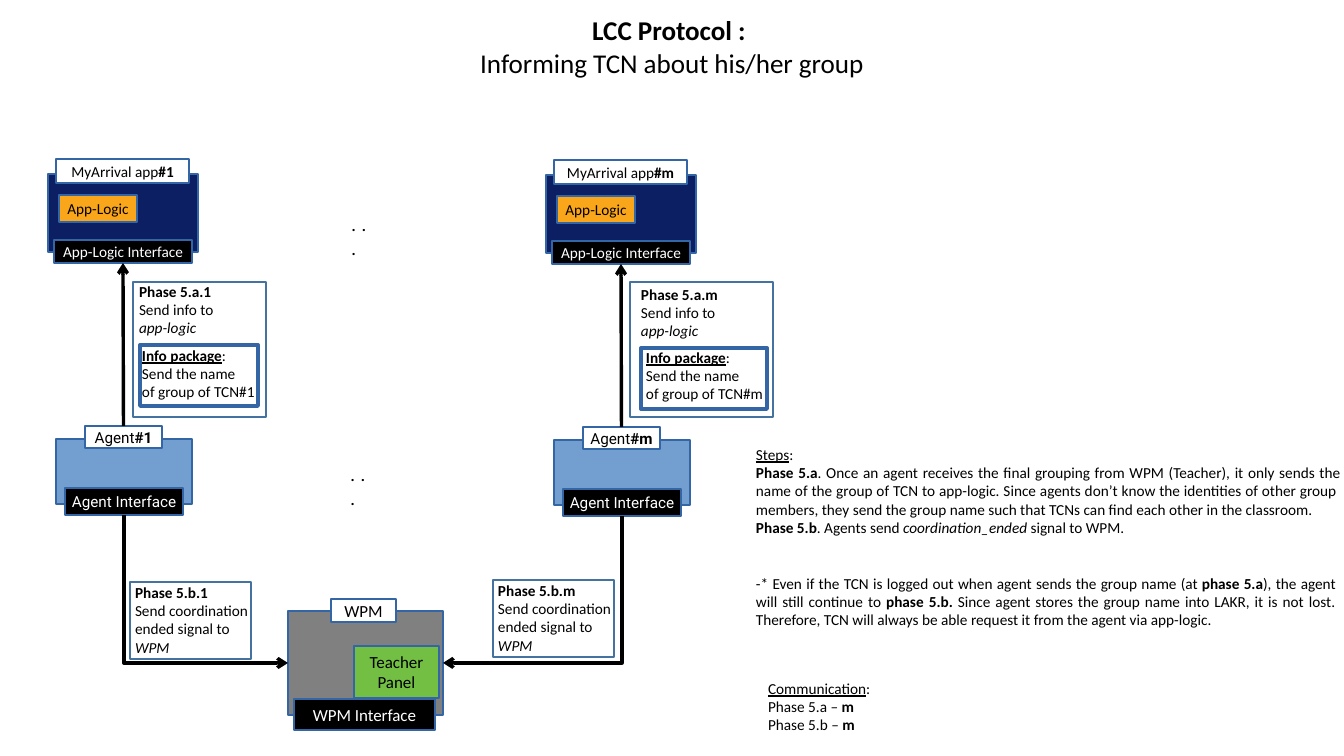
from copy import deepcopy

from lxml import etree
from pptx import Presentation
from pptx import util as u
from pptx.dml.color import RGBColor
from pptx.enum import shapes, text
from pptx.oxml.ns import qn

PX = 914400 / 122
BLUE, FRAME, BLACK, WHITE = "3465A4", "43739E", "000000", "FFFFFF"
CENTER, JUSTIFY = text.PP_ALIGN.CENTER, text.PP_ALIGN.JUSTIFY


def px(*lengths):
    """Turn pixel lengths into EMU."""
    return [u.Emu(round(length * PX)) for length in lengths]


def color(value):
    """Turn a hex string into a colour."""
    return RGBColor.from_string(value)


def apply(target, values):
    """Set each attribute named in values on target."""
    for name, value in values.items():
        setattr(target, name, value)


def add_span(para, words, marks, size, font, ink):
    """Add one run whose marks may hold b, i and u."""
    span = para.add_run()
    span.text = words
    apply(span.font, {"size": u.Pt(size), "name": font, "bold": "b" in marks,
                      "italic": "i" in marks, "underline": "u" in marks})
    span.font.color.rgb = color(ink)
    return span


def write(frame, paragraphs, size=9, font="Calibri", ink=BLACK, align=None):
    """Fill a text frame with paragraphs of (words, marks) spans."""
    for index, spans in enumerate(paragraphs):
        para = frame.add_paragraph() if index else frame.paragraphs[0]
        para.alignment = align
        for words, marks in spans:
            for row, part in enumerate(words.split("\n")):
                if row:
                    para.add_line_break()
                    line_break = para._p.findall(qn("a:br"))[-1]
                    line_break.append(deepcopy(span._r.rPr))
                if part:
                    span = add_span(para, part, marks, size, font, ink)


def add_box(page, bounds, fill=None, line=BLUE, width=0, spans=None, **style):
    """Add a rectangle with an optional fill and centred label."""
    box = page.shapes.add_shape(shapes.MSO_SHAPE.RECTANGLE, *px(*bounds))
    box.shadow.inherit = False
    if fill:
        box.fill.solid()
        box.fill.fore_color.rgb = color(fill)
    else:
        box.fill.background()
    box.line.color.rgb = color(line)
    box.line.width = u.Pt(width)
    if spans:
        apply(box.text_frame, {"word_wrap": False, "vertical_anchor": text.MSO_ANCHOR.MIDDLE})
        write(box.text_frame, [spans], align=CENTER, **style)
    return box


def add_text(page, bounds, paragraphs, wrap=False, **style):
    """Add a text box that grows with its text."""
    frame = page.shapes.add_textbox(*px(*bounds)).text_frame
    apply(frame, {"word_wrap": wrap, "auto_size": text.MSO_AUTO_SIZE.SHAPE_TO_FIT_TEXT})
    write(frame, paragraphs, **style)
    return frame


def add_arrow(page, kind, start, start_site, end, end_site):
    """Join two boxes with a hairline arrow."""
    arrow = page.shapes.add_connector(kind, 0, 0, 0, 0)
    arrow.begin_connect(start, start_site)
    arrow.end_connect(end, end_site)
    arrow.line.color.rgb = color(BLACK)
    arrow.line.width = 0
    etree.SubElement(arrow.line._get_or_add_ln(), qn("a:tailEnd"), type="arrow")
    etree.SubElement(arrow._element.spPr, qn("a:effectLst"))
    return arrow


def add_corner_arrow(page, start, end, end_site):
    """Run an arrow down from start, then sideways into end."""
    arrow = add_arrow(page, shapes.MSO_CONNECTOR.ELBOW, start, 2, end, end_site)
    drop = arrow.end_y - arrow.begin_y
    run = arrow.end_x - arrow.begin_x
    left = (arrow.begin_x + arrow.end_x - drop) // 2
    top = (arrow.begin_y + arrow.end_y - abs(run)) // 2
    apply(arrow, {"left": left, "top": top, "width": drop, "height": abs(run)})
    properties = arrow._element.spPr
    properties.find(qn("a:prstGeom")).set("prst", "bentConnector2")
    turn, flip = (270, "1") if run > 0 else (90, "0")
    for name, value in {"rot": str(turn * 60000), "flipH": flip, "flipV": "0"}.items():
        properties.find(qn("a:xfrm")).set(name, value)


def add_title(page):
    """Place and fill the title."""
    title = page.shapes.title
    apply(title, dict(zip(("left", "top", "width", "height"), px(67, 12, 1210, 68))))
    apply(title.text_frame, {"margin_left": 0, "margin_right": 0, "margin_top": 0,
                             "margin_bottom": 0, "word_wrap": True,
                             "auto_size": text.MSO_AUTO_SIZE.NONE,
                             "vertical_anchor": text.MSO_ANCHOR.MIDDLE})
    write(title.text_frame, [[("LCC Protocol : \n", "b"),
                              ("Informing TCN about his/her group", "")]],
          size=16, align=CENTER)


def add_member(page, name, x, y):
    """Add one app with its agent and return the agent interface."""
    add_box(page, (x + 48, y + 174, 150, 78), "0D1F63")
    add_box(page, (x + 56, y + 159, 133, 24), WHITE,
            spans=[("MyArrival app", ""), (f"#{name}", "b")])
    add_box(page, (x + 59, y + 195, 78, 27), "FAA61A", spans=[("App-Logic", "")])
    app = add_box(page, (x + 54, y + 240, 138, 23), BLACK,
                  spans=[("App-Logic Interface", "")], ink=WHITE)
    add_box(page, (x + 56, y + 439, 136, 65), "729FCF")
    tag = add_box(page, (x + 85, y + 426, 77, 22), WHITE,
                  spans=[("Agent", ""), (f"#{name}", "b")], font="Roboto")
    agent = add_box(page, (x + 65, y + 488, 118, 27), BLACK,
                    spans=[("Agent Interface", "")], font="Roboto", ink=WHITE)
    add_arrow(page, shapes.MSO_CONNECTOR.STRAIGHT, tag, 0, app, 2)
    return agent


def add_info_phase(page, name, frame, heading, package, message):
    """Add the note on what an agent sends to its app."""
    add_box(page, package, WHITE, width=2.3)
    add_text(page, message, [[("Info package", "bu"),
                              (f":\nSend the name \nof group of TCN#{name}", "")]], wrap=True)
    add_text(page, heading, [[(f"Phase 5.a.{name} \n", "b"), ("Send info to \n", ""),
                              ("app-logic", "i")]])
    add_box(page, frame, line=FRAME, width=1)


def add_signal_phase(page, name, x, y):
    """Add the note on the signal an agent sends to WPM."""
    add_text(page, (x, y, 143, 88),
             [[(f"Phase 5.b.{name}\n", "b"),
               ("Send coordination \nended signal to \n", ""), ("WPM", "i")]])
    add_box(page, (x + 7, y + 5, 121, 77), line=FRAME, width=1)


def add_manager(page):
    """Add the WPM block and return its body."""
    body = add_box(page, (288, 611, 155, 104), "808080")
    add_box(page, (331, 599, 65, 23), WHITE, spans=[("WPM", "")], size=10)
    add_box(page, (354, 646, 85, 52), "72BF44", spans=[("Teacher\nPanel", "")], size=10)
    add_box(page, (294, 699, 141, 31), BLACK, spans=[("WPM Interface", "")],
            size=10, ink=WHITE)
    return body


def add_explanation(page):
    """Add the steps and the communication counts."""
    steps = add_text(page, (744, 439, 608, 200), [
        [("Steps", "u"), (":", "")],
        [("Phase 5.a", "b"),
         (". Once an agent receives the final grouping from WPM (Teacher), it only sends the\n"
          "name of the group of TCN to app-logic. Since agents don’t know the identities of other group \n"
          "members, they send the group name such that TCNs can find each other in the classroom. ", "")],
        [("Phase 5.b", "b"), (". Agents send ", ""), ("coordination_ended ", "i"),
         ("signal to WPM. ", "")],
        [("-* Even if the TCN is logged out when agent sends the group name (at ", ""),
         ("phase 5.a", "b"), ("), the agent \nwill still continue to ", ""),
         ("phase 5.b. ", "b"),
         ("Since agent stores the group name into LAKR, it is not lost. \n"
          "Therefore, TCN will always be able request it from the agent via app-logic. ", "")],
    ], align=JUSTIFY)
    steps.paragraphs[-1].space_before = u.Pt(22)
    counts = [[(f"Phase 5.{phase} – ", ""), ("m", "b")] for phase in "ab"]
    add_text(page, (756, 673, 128, 68), [[("Communication", "u"), (":", "")], *counts])


def main():
    """Build the slide and save it."""
    deck = Presentation()
    deck.slide_width, deck.slide_height = px(1344, 756)
    page = deck.slides.add_slide(deck.slide_layouts[5])
    add_title(page)
    first_agent = add_member(page, "1", 0, 0)
    last_agent = add_member(page, "m", 498, 1)
    manager = add_manager(page)
    add_corner_arrow(page, first_agent, manager, 1)
    add_corner_arrow(page, last_agent, manager, 3)
    add_signal_phase(page, "1", 123, 577)
    add_signal_phase(page, "m", 486, 575)
    for x, y in ((338, 455), (339, 205)):
        add_text(page, (x, y, 50, 35), [[(". . .", "")]], wrap=True, size=12, font="Roboto")
    add_info_phase(page, "1", (133, 282, 133, 135), (127, 276, 104, 68),
                   (140, 345, 118, 61), (130, 340, 139, 68))
    add_info_phase(page, "m", (630, 282, 143, 135), (629, 279, 105, 68),
                   (641, 348, 126, 61), (634, 342, 151, 68))
    add_explanation(page)
    deck.save("out.pptx")


if __name__ == "__main__":
    main()
